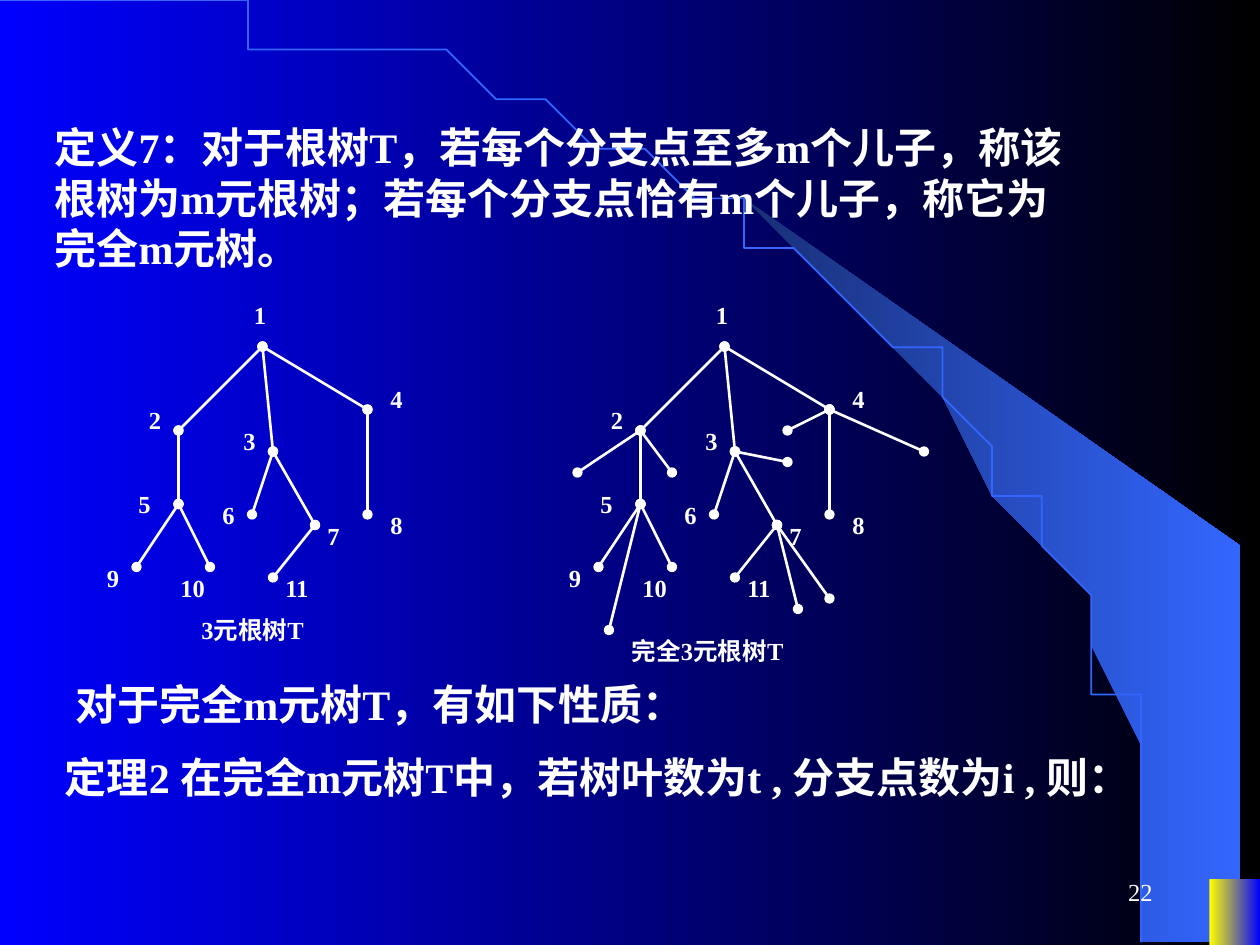
from math import cos, pi, sin
from typing import NamedTuple

from lxml import etree
from pptx import Presentation
from pptx import util as u
from pptx.dml.color import RGBColor
from pptx.enum import shapes, text
from pptx.oxml.ns import qn

WHITE, BLUE, SKY = "FFFFFF", "0000FF", "3366FF"
GRID = 2.54 / 12  # cm; the trees lie on a grid of twelfths of an inch
LABEL_HEIGHT = 4.1


class Node(NamedTuple):
    x: float
    y: float
    label_x: float
    label_y: float
    parent: int = 0
    label_width: float = 4


class Leaf(NamedTuple):
    parent: int
    x: float
    y: float


NODES = {
    1: Node(25, 33, 23, 28),
    2: Node(17, 41, 13, 38, 1),
    3: Node(26, 43, 22, 40, 1),
    4: Node(35, 39, 36, 36, 1),
    5: Node(17, 48, 12, 46, 2),
    6: Node(24, 49, 20, 47, 3),
    7: Node(30, 50, 30, 49, 3),
    8: Node(35, 49, 36, 48, 4),
    9: Node(13, 54, 9, 53, 5),
    10: Node(20, 54, 16, 54, 5, 6),
    11: Node(26, 55, 26, 54, 7, 5),
}
COMPLETING_LEAVES = [
    Leaf(2, 11, 45), Leaf(2, 20, 45), Leaf(3, 31, 44), Leaf(4, 31, 41),
    Leaf(4, 44, 43), Leaf(5, 14, 60), Leaf(7, 35, 57), Leaf(7, 32, 58),
]
COMPLETE_TREE_SHIFT = 44

WEDGE = [
    (23.37, 19), (25.37, 19.02), (25.37, 10.74), (14.96, 4.39), (15.85, 5.05),
    (16.59, 5.64), (17.4, 6.35), (18.19, 7.11), (19.35, 8.38), (20.4, 9.75),
    (21.13, 10.95), (21.79, 12.17), (22.3, 13.41), (22.68, 14.53),
    (22.94, 15.47), (23.19, 16.66), (23.29, 17.68),
]
ARC_WIDTH, ARC_HEIGHT, ARC_STEPS = 23.37, 19.02, 60


def rgb(color: str) -> RGBColor:
    return RGBColor.from_string(color)


def grid(n: float) -> u.Length:
    return u.Cm(n * GRID)


def set_gradient(fill, start: str, end: str) -> None:
    """Fill from left to right."""
    fill.gradient()
    fill.gradient_angle = 0
    for stop, color in zip(fill.gradient_stops, (start, end)):
        stop.color.rgb = rgb(color)


def add_outline(s, points: list, close: bool):
    (x, y), *rest = points
    builder = s.shapes.build_freeform(x, y, scale=u.Cm(1))
    builder.add_line_segments(rest, close=close)
    sp = builder.convert_to_shape()
    sp.shadow.inherit = False
    return sp


def add_backdrop(s) -> None:
    set_gradient(s.background.fill, BLUE, "000000")

    wedge = add_outline(s, WEDGE, True)
    set_gradient(wedge.fill, "182F76", SKY)
    wedge.line.fill.background()

    angles = [pi / 2 * i / ARC_STEPS for i in range(ARC_STEPS + 1)]
    arc = add_outline(
        s, [(ARC_WIDTH * sin(a), ARC_HEIGHT * (1 - cos(a))) for a in angles], False)
    arc.fill.background()
    arc.line.color.rgb = rgb(SKY)
    arc.line.width = u.Pt(1)

    corner = s.shapes.add_shape(shapes.MSO_SHAPE.RECTANGLE, u.Cm(24.38), u.Cm(17.73),
                                u.Cm(1.02), u.Cm(1.32))
    corner.shadow.inherit = False
    set_gradient(corner.fill, "FFFF00", BLUE)
    corner.line.fill.background()


def add_text(s, words: str, box: tuple, size: float = 14, bold: bool = True,
             align=text.PP_ALIGN.LEFT, anchor=text.MSO_ANCHOR.TOP) -> None:
    tf = s.shapes.add_textbox(*box).text_frame
    frame_format = {"word_wrap": True, "vertical_anchor": anchor,
                    "auto_size": text.MSO_AUTO_SIZE.NONE}
    for name, value in frame_format.items():
        setattr(tf, name, value)
    p = tf.paragraphs[0]
    p.alignment = align
    r = p.add_run()
    r.text = words
    font_format = {"name": "Times New Roman", "size": u.Pt(size), "bold": bold}
    for name, value in font_format.items():
        setattr(r.font, name, value)
    r.font.color.rgb = rgb(WHITE)


def add_label(s, words: str, x: float, y: float, width: float) -> None:
    add_text(s, words, (grid(x), grid(y), grid(width), grid(LABEL_HEIGHT)))


def add_edge(s, parent: Node, child, shift: float) -> None:
    """Join two tree points by a line with a dot at each end."""
    edge = s.shapes.add_connector(
        shapes.MSO_CONNECTOR.STRAIGHT, grid(parent.x + shift), grid(parent.y),
        grid(child.x + shift), grid(child.y))
    edge.line.color.rgb = rgb(WHITE)
    edge.line.width = u.Pt(1.5)
    ln = edge.line._get_or_add_ln()
    for end in ("a:headEnd", "a:tailEnd"):
        etree.SubElement(ln, qn(end), type="oval")
    etree.SubElement(edge._element.spPr, qn("a:effectLst"))


def add_tree(s, shift: float = 0, leaves: list = ()) -> None:
    children = [n for n in NODES.values() if n.parent]
    for child in [*children, *leaves]:
        add_edge(s, NODES[child.parent], child, shift)
    for number, n in NODES.items():
        add_label(s, str(number), n.label_x + shift, n.label_y, n.label_width)


def main() -> None:
    prs = Presentation()
    prs.slide_width, prs.slide_height = u.Cm(25.4), u.Cm(19.05)
    s = prs.slides.add_slide(prs.slide_layouts[6])

    add_backdrop(s)
    add_text(s, "22", (u.Cm(18.21), u.Cm(17.35), u.Cm(5.28), u.Cm(1.27)), bold=False,
             align=text.PP_ALIGN.RIGHT, anchor=text.MSO_ANCHOR.MIDDLE)
    add_text(s, "定义7：对于根树T，若每个分支点至多m个儿子，称该根树为m元根树；"
                "若每个分支点恰有m个儿子，称它为完全m元树。",
             (u.Cm(0.85), u.Cm(2.33), u.Cm(21.38), u.Cm(3.3)), 24)

    add_tree(s)
    add_label(s, "3元根树T", 18, 58, 16.2)
    add_tree(s, COMPLETE_TREE_SHIFT, COMPLETING_LEAVES)
    add_label(s, "完全3元根树T", 59, 60, 31)

    add_text(s, "对于完全m元树T，有如下性质：",
             (u.Cm(1.27), u.Cm(13.55), u.Cm(21.38), u.Cm(1.27)), 24)
    add_text(s, "定理2 在完全m元树T中，若树叶数为t , 分支点数为i , 则：",
             (u.Cm(1.06), u.Cm(15.03), u.Cm(22.86), u.Cm(2.29)), 24)
    prs.save("out.pptx")


if __name__ == "__main__":
    main()
